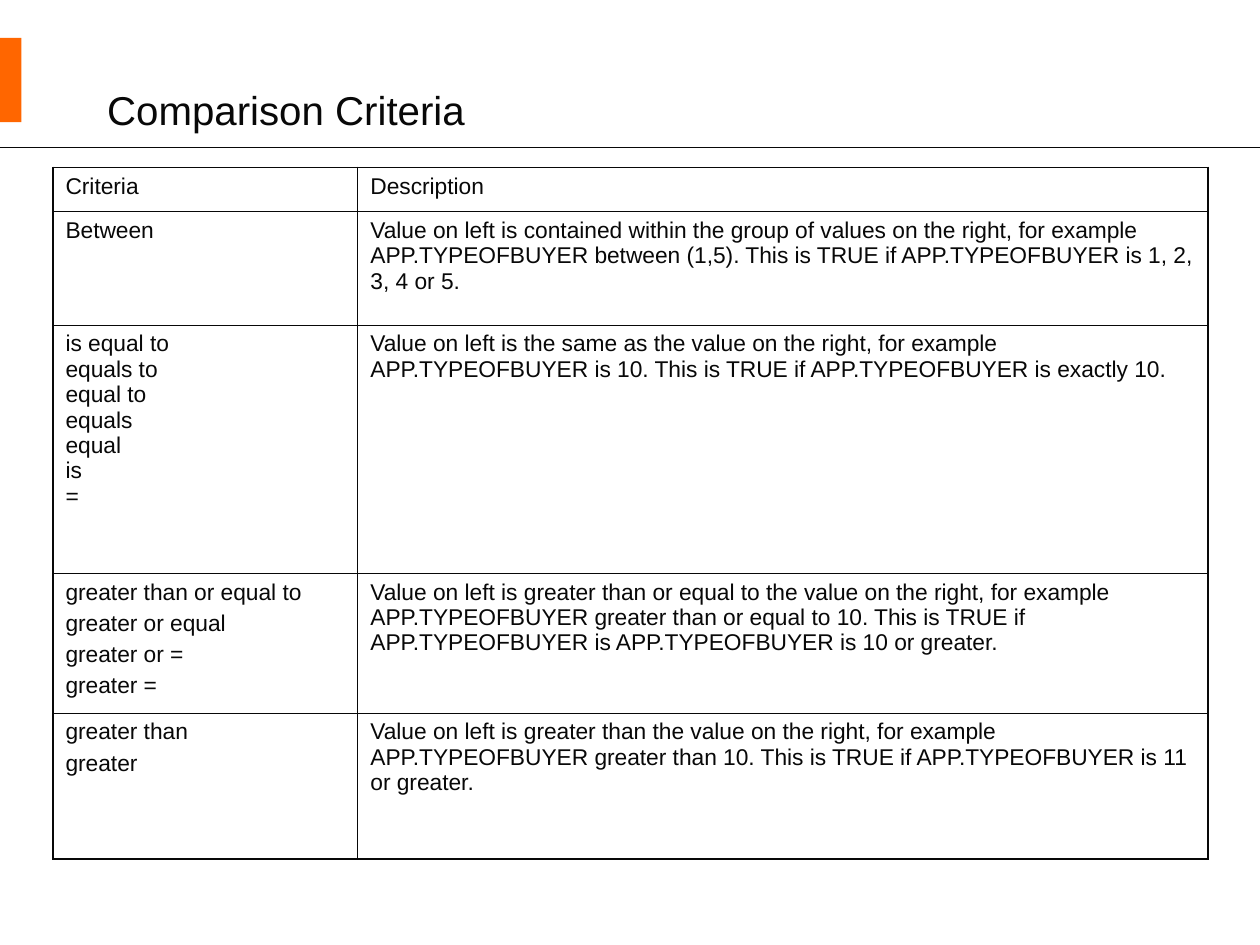
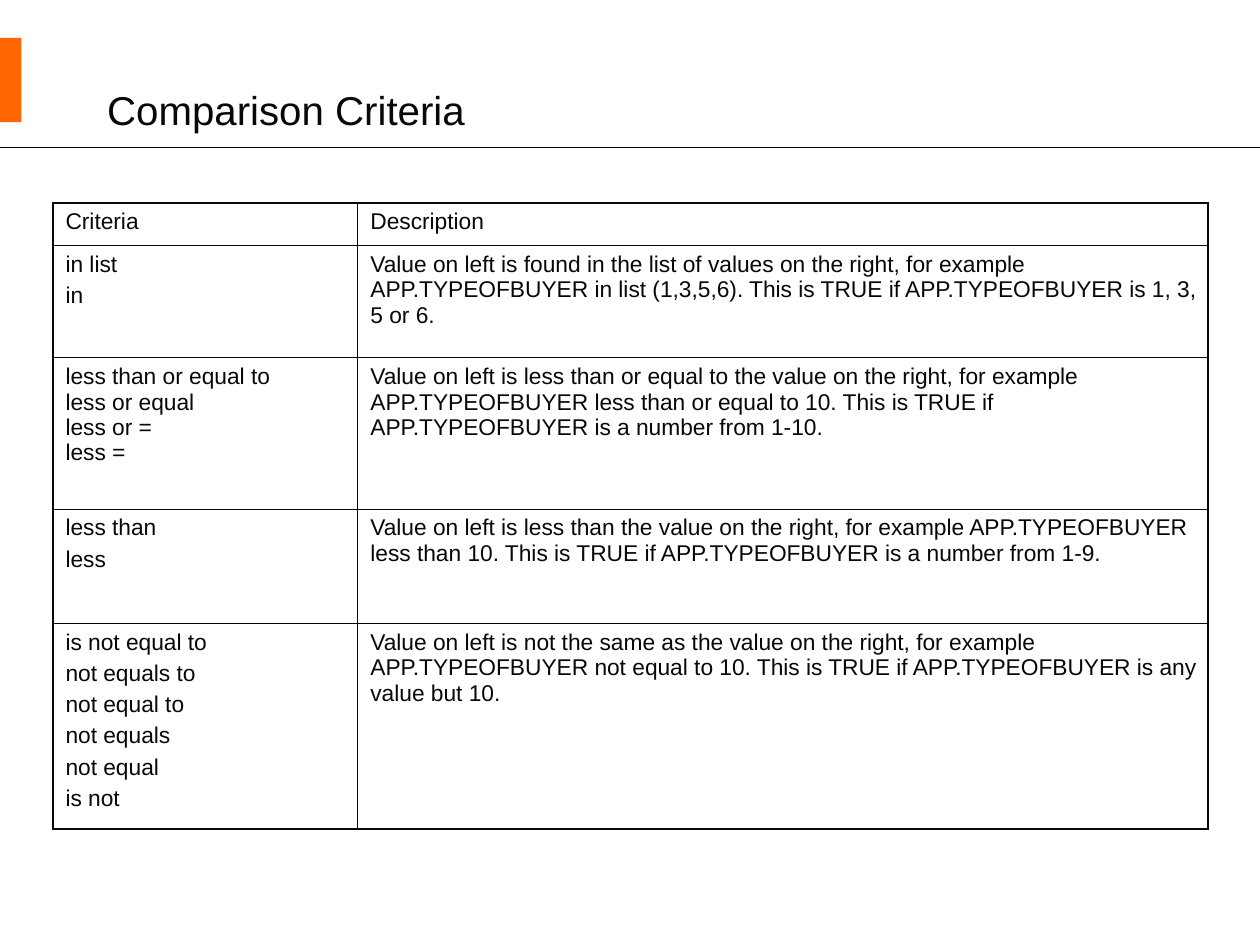
from dataclasses import dataclass

from lxml.etree import SubElement
from pptx import Presentation
from pptx.dml.color import RGBColor
from pptx.enum.shapes import MSO_CONNECTOR, MSO_SHAPE
from pptx.enum.text import MSO_ANCHOR, MSO_AUTO_SIZE, PP_ALIGN
from pptx.oxml.ns import qn
from pptx.util import Inches, Pt


@dataclass(frozen=True)
class Theme:
    font: str = "Arial"
    ink: str = "080808"
    accent: str = "FF6600"
    title: float = 23
    body: float = 13
    gap: float = 3.3
    rule: float = 0.75
    outer: float = 1.08
    inner: float = 0.45


LEFT = 0.42
COLS = (2.42, 6.75)
HEAD = (["Criteria"], "Description")
TIGHT = 2  # row whose criteria are set without gaps

FIRST = [
    HEAD,
    (["Between"],
     "Value on left is contained within the group of values on the right, for example "
     "APP.TYPEOFBUYER between (1,5). This is TRUE if APP.TYPEOFBUYER is 1, 2, 3, 4 or 5."),
    (["is equal to", "equals to", "equal to", "equals", "equal", "is", "="],
     "Value on left is the same as the value on the right, for example "
     "APP.TYPEOFBUYER is 10. This is TRUE if APP.TYPEOFBUYER is exactly 10."),
    (["greater than or equal to", "greater or equal", "greater or =", "greater ="],
     "Value on left is greater than or equal to the value on the right, for example "
     "APP.TYPEOFBUYER greater than or equal to 10. This is TRUE if "
     "APP.TYPEOFBUYER is APP.TYPEOFBUYER is 10 or greater."),
    (["greater than", "greater"],
     "Value on left is greater than the value on the right, for example "
     "APP.TYPEOFBUYER greater than 10. This is TRUE if APP.TYPEOFBUYER is 11 or greater."),
]

SECOND = [
    HEAD,
    (["in list", "in"],
     "Value on left is found in the list of values on the right, for example "
     "APP.TYPEOFBUYER in list (1,3,5,6). This is TRUE if APP.TYPEOFBUYER is 1, 3, 5 or 6."),
    (["less than or equal to", "less or equal", "less or =", "less ="],
     "Value on left is less than or equal to the value on the right, for example "
     "APP.TYPEOFBUYER less than or equal to 10. This is TRUE if "
     "APP.TYPEOFBUYER is a number from 1-10."),
    (["less than", "less"],
     "Value on left is less than the value on the right, for example APP.TYPEOFBUYER "
     "less than 10. This is TRUE if APP.TYPEOFBUYER is a number from 1-9."),
    (["is not equal to", "not equals to", "not equal to", "not equals", "not equal", "is not"],
     "Value on left is not the same as the value on the right, for example "
     "APP.TYPEOFBUYER not equal to 10. This is TRUE if APP.TYPEOFBUYER is any value but 10."),
]


class Deck:
    def __init__(self, theme):
        self.theme = theme
        self.show = Presentation()
        self.show.slide_width, self.show.slide_height = Inches(10), Inches(7.5)
        self.layout = self.show.slide_layouts[5]
        self.slide = None

    def page(self, title):
        self.slide = self.show.slides.add_slide(self.layout)
        if len(self.show.slides) == 1:
            self.brand()
        self.title(title)

    def brand(self):
        """Move the accent bar and the rule to the shared layout."""
        tree = self.layout.element.cSld.spTree
        for shape in (self.bar(0, 0.3, 0.17, 0.67), self.line(0, 1.17, 10, 1.17)):
            tree.append(shape.element)

    def bar(self, x, y, w, h):
        shape = self.slide.shapes.add_shape(
            MSO_SHAPE.RECTANGLE, Inches(x), Inches(y), Inches(w), Inches(h))
        shape.shadow.inherit = False
        shape.fill.solid()
        shape.fill.fore_color.rgb = RGBColor.from_string(self.theme.accent)
        shape.line.fill.background()
        return shape

    def line(self, x, y, right, low):
        line = self.slide.shapes.add_connector(
            MSO_CONNECTOR.STRAIGHT, Inches(x), Inches(y), Inches(right), Inches(low))
        line.line.color.rgb = RGBColor.from_string(self.theme.ink)
        line.line.width = Pt(self.theme.rule)
        SubElement(line.element.spPr, qn("a:effectLst"))
        return line

    def run(self, para, text, size):
        run = para.add_run()
        run.text = text
        run.font.name, run.font.size = self.theme.font, Pt(size)
        run.font.color.rgb = RGBColor.from_string(self.theme.ink)

    def title(self, text):
        box = self.slide.shapes.title
        box.left, box.top = Inches(0.75), Inches(0.58)
        box.width, box.height = Inches(8.5), Inches(0.58)
        frame = box.text_frame
        frame.auto_size = MSO_AUTO_SIZE.NONE
        frame.vertical_anchor = MSO_ANCHOR.MIDDLE
        para = frame.paragraphs[0]
        para.alignment = PP_ALIGN.LEFT
        self.run(para, text, self.theme.title)

    def table(self, top, rows, heights):
        frame = self.slide.shapes.add_table(
            len(rows), len(COLS), Inches(LEFT), Inches(top),
            Inches(sum(COLS)), Inches(sum(heights)))
        table = frame.table
        table.first_row = table.horz_banding = False
        for col, width in zip(table.columns, COLS):
            col.width = Inches(width)
        last = len(rows) - 1
        for i, ((names, about), height) in enumerate(zip(rows, heights)):
            table.rows[i].height = Inches(height)
            left, right = table.cell(i, 0), table.cell(i, 1)
            self.cell(left, names, 0 if i == TIGHT else self.theme.gap)
            self.cell(right, [about], self.theme.gap)
            for cell, side in ((left, "L"), (right, "R")):
                self.edge(cell, {side: True, "T": i == 0, "B": i == last})
                cell.fill.background()

    def cell(self, cell, lines, gap):
        frame = cell.text_frame
        for i, text in enumerate(lines):
            para = frame.add_paragraph() if i else frame.paragraphs[0]
            para.space_before = Pt(gap)
            self.run(para, text, self.theme.body)

    def edge(self, cell, outer):
        """Draw the four borders, heavier on the sides marked as outer."""
        props = cell._tc.get_or_add_tcPr()
        for side in "LRTB":
            width = self.theme.outer if outer.get(side) else self.theme.inner
            line = SubElement(props, qn(f"a:ln{side}"), w=str(Pt(width)))
            fill = SubElement(line, qn("a:solidFill"))
            SubElement(fill, qn("a:srgbClr"), val=self.theme.ink)


def main():
    deck = Deck(Theme())
    deck.page("Comparison Criteria")
    deck.table(1.33, FIRST, (0.35, 0.9, 1.97, 1.11, 1.16))
    deck.page("Comparison Criteria")
    deck.table(1.61, SECOND, (0.34, 0.89, 1.2, 0.91, 1.63))
    deck.show.save("out.pptx")


if __name__ == "__main__":
    main()
